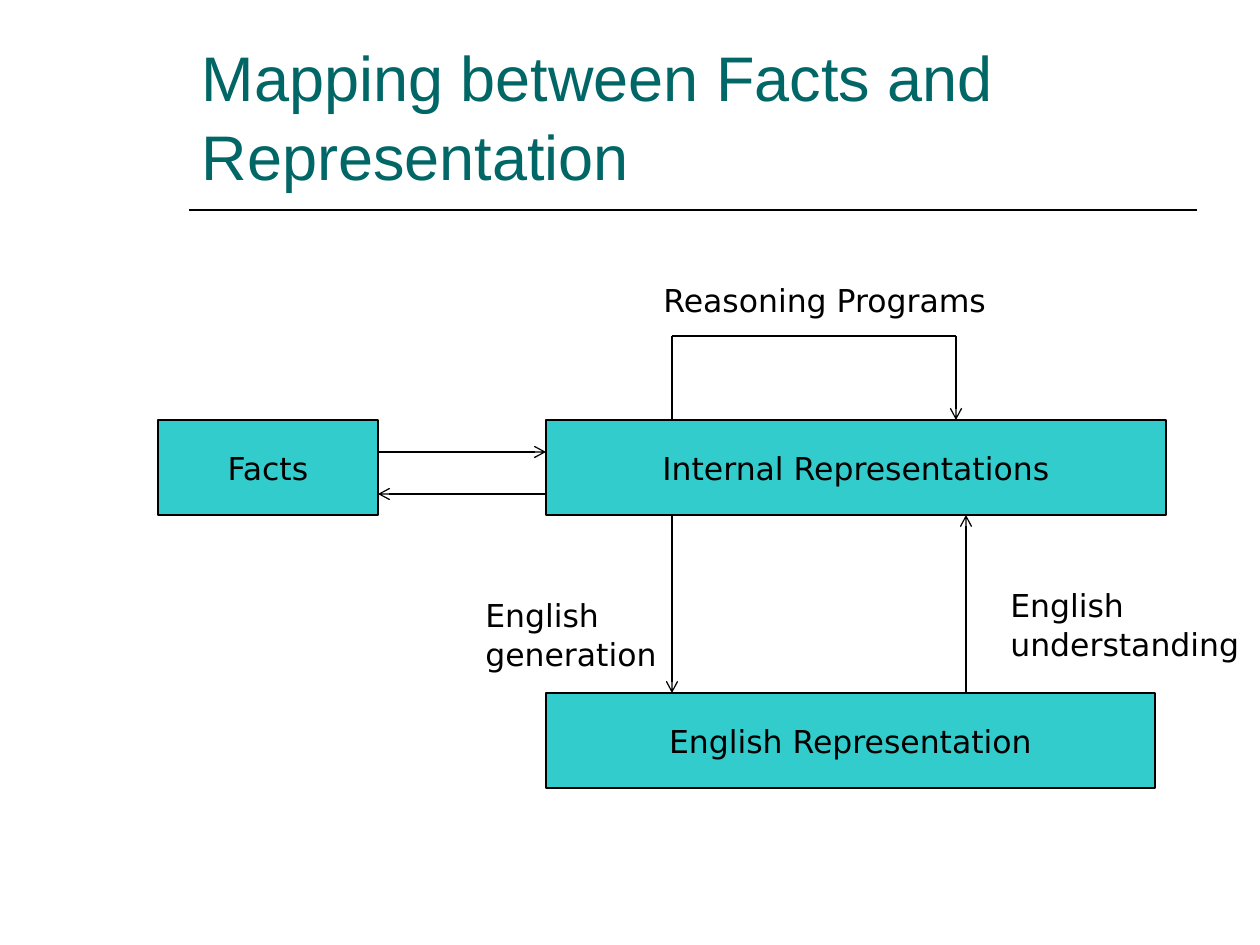
from pptx import Presentation
from pptx.util import Emu, Pt
from pptx.dml.color import RGBColor
from pptx.enum.shapes import MSO_SHAPE, MSO_CONNECTOR
from pptx.enum.text import PP_ALIGN, MSO_ANCHOR, MSO_AUTO_SIZE
from lxml import etree

PX = 914400 / 126
RECT = MSO_SHAPE.RECTANGLE
LINE = MSO_CONNECTOR.STRAIGHT
LEFT, MID = PP_ALIGN.LEFT, PP_ALIGN.CENTER
LOW, HALF, TOP = MSO_ANCHOR.BOTTOM, MSO_ANCHOR.MIDDLE, MSO_ANCHOR.TOP
NS = "{http://schemas.openxmlformats.org/drawingml/2006/main}"
HUES = {"title": "006666", "box": "33CCCC", "ink": "000000"}
COLS = {name: RGBColor.from_string(hue) for name, hue in HUES.items()}


def write(shape, text, align, anchor, size=18, font="DejaVu Sans", hue="ink"):
    frame = shape.text_frame
    frame.word_wrap = True
    frame.auto_size = MSO_AUTO_SIZE.NONE
    frame.vertical_anchor = anchor
    para = frame.paragraphs[0]
    para.alignment = align
    para.line_spacing = 1.04
    run = para.add_run()
    run.text = text
    run.font.size = Pt(size)
    run.font.name = font
    run.font.color.rgb = COLS[hue]


def draw(ends, width=0.75, arrow=False):
    line = slide.shapes.add_connector(LINE, *[Emu(round(n * PX)) for n in ends])
    line.line.color.rgb = COLS["ink"]
    line.line.width = Pt(width)
    if arrow:
        etree.SubElement(line.line._get_or_add_ln(), NS + "tailEnd", type="arrow")
    etree.SubElement(line._element.spPr, NS + "effectLst")


deck = Presentation()
deck.slide_width = Emu(round(1260 * PX))
deck.slide_height = Emu(round(945 * PX))
slide = deck.slides.add_slide(deck.slide_layouts[5])

# Title and rule
title = slide.shapes.title
title.left, title.top, title.width, title.height = [
    Emu(round(n * PX)) for n in (189, 42, 1008, 157)]
write(title, "Mapping between Facts and Representation", LEFT, LOW,
      36, "Arial", "title")
draw((189, 210, 1197, 210), 1)

# Boxes
for text, *place in [
    ("Facts", 158, 420, 220, 95),
    ("Internal Representations", 546, 420, 620, 95),
    ("English Representation", 546, 693, 609, 95),
]:
    box = slide.shapes.add_shape(RECT, *[Emu(round(n * PX)) for n in place])
    box.shadow.inherit = False
    box.fill.solid()
    box.fill.fore_color.rgb = COLS["box"]
    box.line.color.rgb = COLS["ink"]
    box.line.width = Pt(0.75)
    write(box, text, MID, HALF)

# Arrows between boxes, then the reasoning loop
for ends, arrow in [
    ((378, 452, 546, 452), True),
    ((546, 494, 378, 494), True),
    ((672, 515, 672, 693), True),
    ((966, 693, 966, 515), True),
    ((672, 420, 672, 336), False),
    ((672, 336, 956, 336), False),
    ((956, 336, 956, 420), True),
]:
    draw(ends, arrow=arrow)

# Labels
for text, *place in [
    ("Reasoning Programs", 651, 273, 378, 51),
    ("English understanding", 998, 578, 262, 88),
    ("English generation", 473, 588, 262, 88),
]:
    label = slide.shapes.add_textbox(*[Emu(round(n * PX)) for n in place])
    write(label, text, LEFT, TOP)

deck.save("out.pptx")
